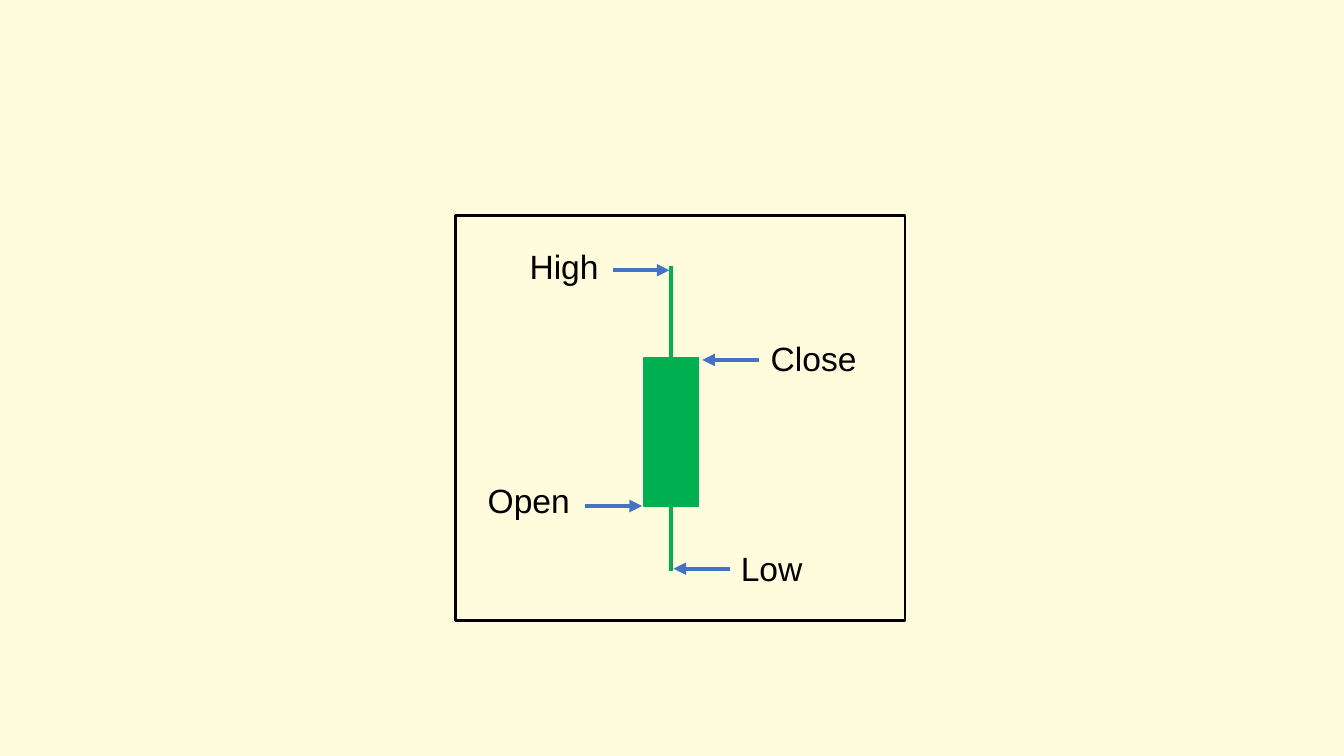
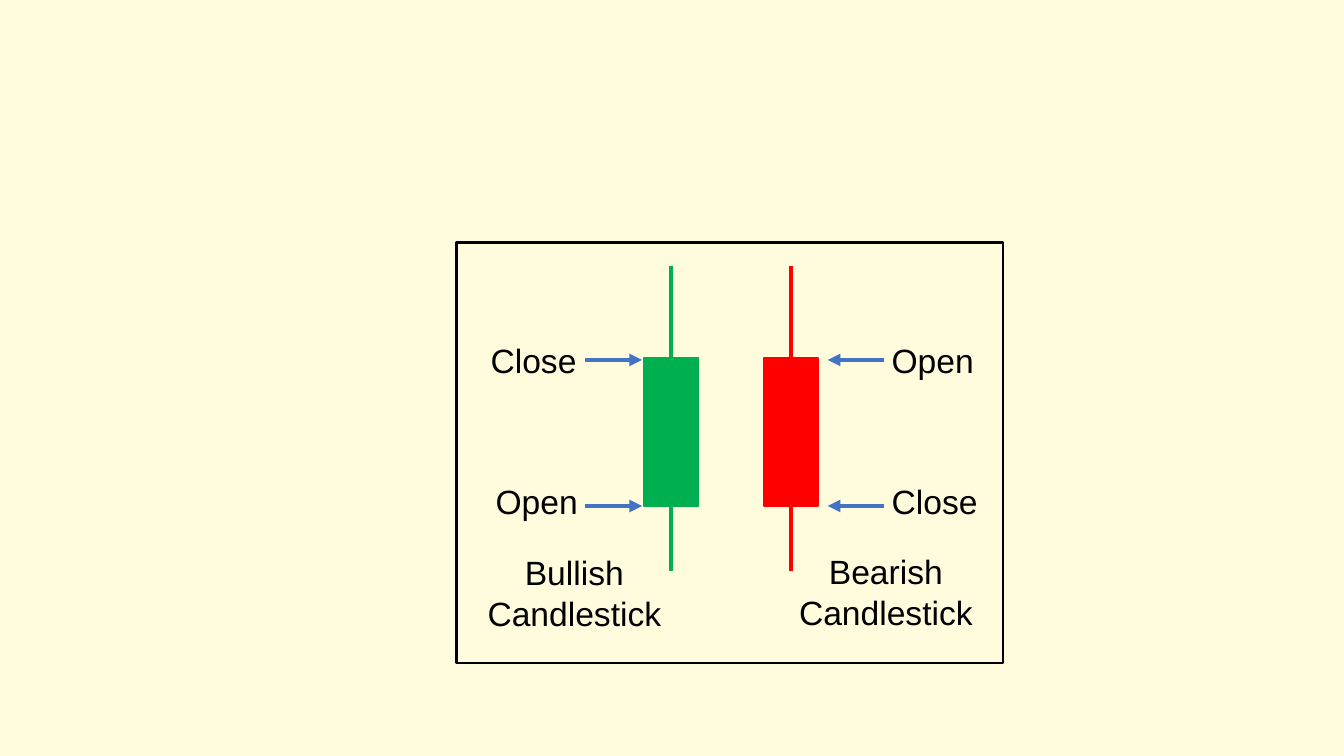
import pptx
import pptx.util
import pptx.dml.color
import pptx.enum.shapes
import pptx.enum.text
import pptx.oxml
import pptx.oxml.ns
import lxml.etree

Cm, Pt = pptx.util.Cm, pptx.util.Pt
RECTANGLE = pptx.enum.shapes.MSO_SHAPE.RECTANGLE

CREAM, BLACK, BLUE = "FFFBDD", "000000", "4472C4"
GREEN, RED = "00B050", "FF0000"

# Measures in cm
BODY_TOP, BODY_WIDTH, BODY_HEIGHT = 9.02, 1.37, 3.73
WICK_TOP, WICK_BOTTOM = 6.71, 14.38
CLOSE_LEVEL, OPEN_LEVEL = 9.07, 12.75
ARROW_LENGTH = 1.43
LABEL_SIZE, CAPTION_SIZE = (3.63, 1.27), (5.99, 2.31)
BULL_LEFT, BEAR_LEFT = 16.23, 19.25


def rgb(value):
    return pptx.dml.color.RGBColor.from_string(value)


def add_line(shapes, start, end, colour, arrow=False):
    line = shapes.add_connector(pptx.enum.shapes.MSO_CONNECTOR.STRAIGHT,
                                *[Cm(length) for length in start + end])
    line.line.width = Pt(3)
    line.line.color.rgb = rgb(colour)
    if arrow:
        lxml.etree.SubElement(line.get_or_add_ln(), pptx.oxml.ns.qn("a:tailEnd"), type="triangle")
    lxml.etree.SubElement(line._element.spPr, pptx.oxml.ns.qn("a:effectLst"))


# Per slide: frame, candles (left, colour), arrows (tip x, y, direction),
# texts (words, left, top, size)
slides = [
    {
        "frame": (11.48, 5.44, 11.33, 10.19),
        "candles": [(BULL_LEFT, GREEN)],
        "arrows": [(16.87, 6.81, 1), (17.7, CLOSE_LEVEL, -1),
                   (16.18, OPEN_LEVEL, 1), (16.97, 14.33, -1)],
        "texts": [("High", 12.4, 6.07, LABEL_SIZE), ("Close", 18.69, 8.38, LABEL_SIZE),
                  ("Open", 11.51, 11.96, LABEL_SIZE), ("Low", 17.63, 13.69, LABEL_SIZE)],
    },
    {
        "frame": (11.51, 6.12, 13.77, 10.59),
        "candles": [(BULL_LEFT, GREEN), (BEAR_LEFT, RED)],
        "arrows": [(tip, level, direction) for tip, direction in ((16.18, 1), (20.86, -1))
                   for level in (CLOSE_LEVEL, OPEN_LEVEL)],
        "texts": [("Close", 11.63, 8.43, LABEL_SIZE), ("Open", 11.71, 11.99, LABEL_SIZE),
                  ("Open", 21.69, 8.43, LABEL_SIZE), ("Close", 21.74, 11.99, LABEL_SIZE),
                  ("Bullish\nCandlestick", 11.48, 13.79, CAPTION_SIZE),
                  ("Bearish\nCandlestick", 19.33, 13.77, CAPTION_SIZE)],
    },
]

presentation = pptx.Presentation()
presentation.slide_width, presentation.slide_height = Cm(33.87), Cm(19.05)
background = presentation.slide_master.background.fill
background.solid()
background.fore_color.rgb = rgb(CREAM)
blank = presentation.slide_layouts[6]

for content in slides:
    slide = presentation.slides.add_slide(blank)

    # Frame
    frame = slide.shapes.add_shape(RECTANGLE, *[Cm(length) for length in content["frame"]])
    frame.shadow.inherit = False
    frame.fill.background()
    frame.line.color.rgb = rgb(BLACK)
    frame.line.width = Pt(2)

    # Candlesticks, each a group of body and wick
    for left, colour in content["candles"]:
        candle = slide.shapes.add_group_shape()
        body = candle.shapes.add_shape(RECTANGLE, Cm(left), Cm(BODY_TOP),
                                       Cm(BODY_WIDTH), Cm(BODY_HEIGHT))
        body.shadow.inherit = False
        body.fill.solid()
        body.fill.fore_color.rgb = rgb(colour)
        body.line.color.rgb = rgb(colour)
        body.line.width = Pt(1)
        middle = left + BODY_WIDTH / 2
        add_line(candle.shapes, (middle, WICK_TOP), (middle, WICK_BOTTOM), colour)

    # Price arrows
    for tip, level, direction in content["arrows"]:
        add_line(slide.shapes, (tip - direction * ARROW_LENGTH, level), (tip, level),
                 BLUE, arrow=True)

    # Labels and captions
    for words, left, top, (width, height) in content["texts"]:
        label = slide.shapes.add_textbox(Cm(left), Cm(top), Cm(width), Cm(height)).text_frame
        label.word_wrap = True
        label.auto_size = pptx.enum.text.MSO_AUTO_SIZE.SHAPE_TO_FIT_TEXT
        label.text = words
        for paragraph in label.paragraphs:
            paragraph.alignment = pptx.enum.text.PP_ALIGN.CENTER
            paragraph.font.name = "Arial"
            paragraph.font.size = Pt(24)
            paragraph.font.color.rgb = rgb(BLACK)

presentation.save("out.pptx")
